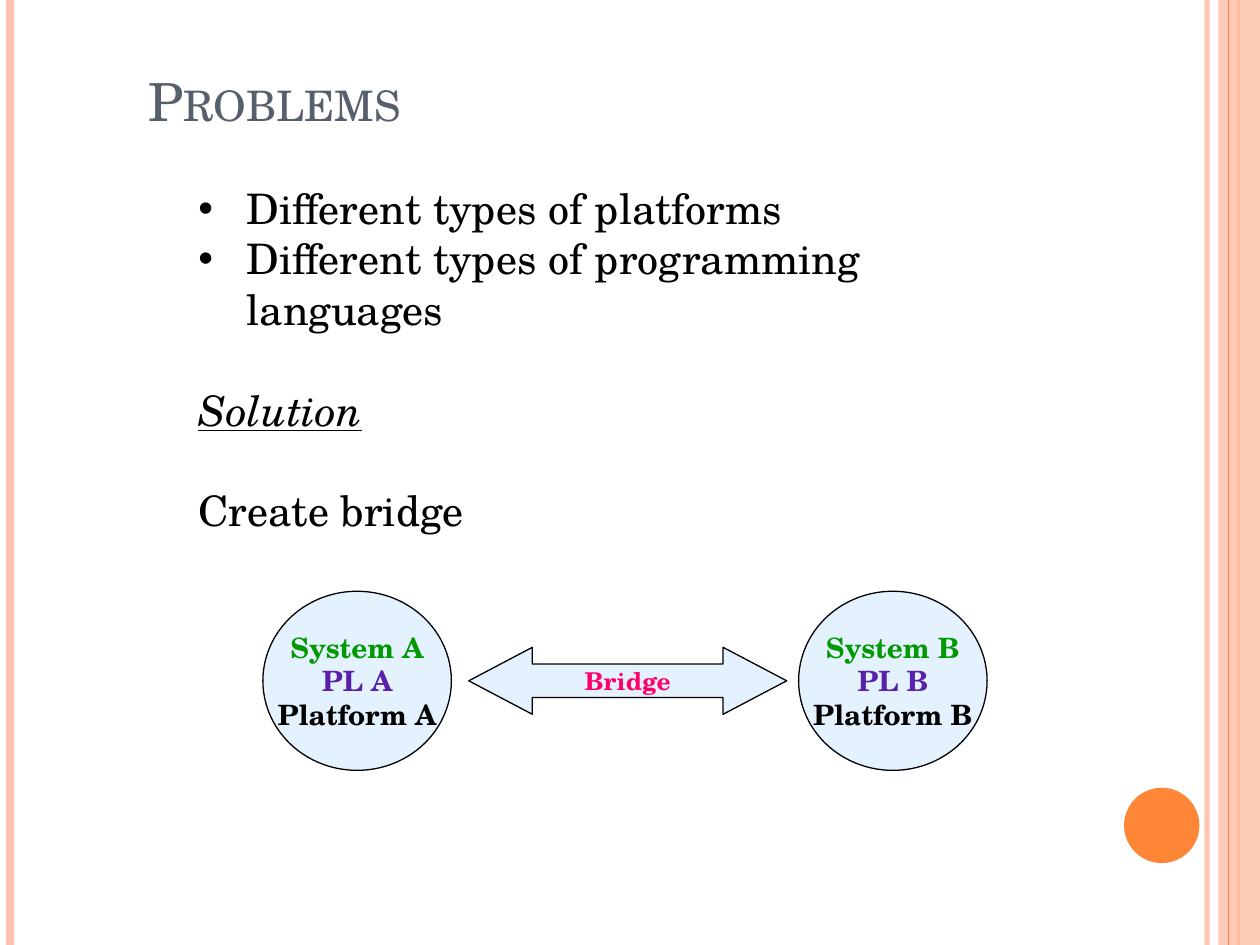
from dataclasses import dataclass

from lxml import etree
from pptx import Presentation
from pptx.dml.color import RGBColor
from pptx.enum.shapes import MSO_CONNECTOR, MSO_SHAPE
from pptx.enum.text import MSO_ANCHOR, PP_ALIGN
from pptx.oxml.ns import qn
from pptx.util import Cm, Pt

FONT = "TeX Gyre Schola"
BLACK = RGBColor(0x00, 0x00, 0x00)
SLATE = RGBColor(0x57, 0x5F, 0x6D)
PEACH = RGBColor(0xFE, 0xC3, 0xAE)
ORANGE = RGBColor(0xFE, 0x86, 0x37)
SKY = RGBColor(0xBD, 0xDE, 0xFF)
GREEN = RGBColor(0x00, 0x99, 0x00)
PURPLE = RGBColor(0x59, 0x21, 0xAB)
PINK = RGBColor(0xFF, 0x00, 0x66)

OVAL, RECT = MSO_SHAPE.OVAL, MSO_SHAPE.RECTANGLE
ARROW = MSO_SHAPE.LEFT_RIGHT_ARROW
STRAIGHT = MSO_CONNECTOR.STRAIGHT
LEFT, CENTER = PP_ALIGN.LEFT, PP_ALIGN.CENTER
TOP, MIDDLE = MSO_ANCHOR.TOP, MSO_ANCHOR.MIDDLE
WIDE, HIGH = 25.4, 19.05


@dataclass
class Stripe:
    x: float
    color: RGBColor
    width: float
    alpha: int = 100


@dataclass
class Item:
    text: str
    bullet: bool = False
    accent: bool = False
    gap: float = 0


@dataclass
class Label:
    text: str
    color: RGBColor


def fade(part, alpha: int) -> None:
    """Set the opacity, in percent, of the first colour in the part."""
    if alpha < 100:
        color = next(part.iter(qn("a:srgbClr")))
        etree.SubElement(color, qn("a:alpha")).set("val", str(alpha * 1000))


def style(para, size: float, color: RGBColor, align=LEFT, bold=False) -> None:
    font = para.font
    font.name, font.size, font.bold = FONT, Pt(size), bold
    font.color.rgb = color
    para.alignment = align


def add_stripe(slide, stripe: Stripe) -> None:
    line = slide.shapes.add_connector(
        STRAIGHT, Cm(stripe.x), 0, Cm(stripe.x), Cm(HIGH))
    line.line.color.rgb = stripe.color
    line.line.width = Pt(stripe.width)
    props = line._element.spPr
    fade(props, stripe.alpha)
    etree.SubElement(props, qn("a:effectLst"))


def add_form(slide, kind, x: float, y: float, w: float, h: float,
             color: RGBColor, alpha: int = 100, edge: bool = False):
    form = slide.shapes.add_shape(kind, Cm(x), Cm(y), Cm(w), Cm(h))
    form.shadow.inherit = False
    form.fill.solid()
    form.fill.fore_color.rgb = color
    fade(form._element.spPr, alpha)
    if edge:
        form.line.color.rgb = BLACK
        form.line.width = Pt(0.75)
    else:
        form.line.fill.background()
    return form


def add_labels(form, labels: list[Label], size: float) -> None:
    frame = form.text_frame
    frame.word_wrap = False
    frame.vertical_anchor = MIDDLE
    for i, label in enumerate(labels):
        para = frame.add_paragraph() if i else frame.paragraphs[0]
        para.text = label.text
        style(para, size, label.color, CENTER, True)


def add_item(para, item: Item) -> None:
    para.text = item.text
    style(para, 24, BLACK)
    para.space_before = Pt(item.gap)
    if item.accent:
        para.font.italic = para.font.underline = True
    props = para._p.get_or_add_pPr()
    props.set("marL", str(Cm(1.98)))
    props.set("indent", str(Cm(-0.97)))
    if item.bullet:
        face = etree.Element(qn("a:buFont"), typeface="Arial")
        mark = etree.Element(qn("a:buChar"), char="•")
        at = props.index(props.find(qn("a:defRPr")))
        props[at:at] = [face, mark]


deck = Presentation()
deck.slide_width, deck.slide_height = Cm(WIDE), Cm(HIGH)
slide = deck.slides.add_slide(deck.slide_layouts[5])

# Side stripes and dot
for stripe in (Stripe(24.33, PEACH, 3, 93), Stripe(0.21, PEACH, 4.5),
               Stripe(24.97, ORANGE, 1.5)):
    add_stripe(slide, stripe)
add_form(slide, RECT, 24.56, 0, 0.84, HIGH, PEACH, 87)
add_stripe(slide, Stripe(24.77, ORANGE, 0.75))
add_form(slide, OVAL, 22.66, 15.88, 1.52, 1.52, ORANGE)

# Two systems and the bridge between them
for name, x in (("A", 5.3), ("B", 16.1)):
    disc = add_form(slide, OVAL, x, 11.92, 3.8, 3.61, SKY, 40, True)
    add_labels(disc, [Label(f"System {name}", GREEN),
                      Label(f"PL {name}", PURPLE),
                      Label(f"Platform {name}", BLACK)], 16)
bridge = add_form(slide, ARROW, 9.45, 13.05, 6.41, 1.35, SKY, 40, True)
bridge.adjustments[0], bridge.adjustments[1] = 0.5, 0.95
add_labels(bridge, [Label("Bridge", PINK)], 14)

# Title in small capitals
title = slide.shapes.title
title.left, title.top = Cm(2.74), Cm(1.27)
title.width, title.height = Cm(18.85), Cm(1.52)
title.text_frame.vertical_anchor = TOP
head = title.text_frame.paragraphs[0]
head.text = "Problems"
style(head, 30, SLATE)
head.runs[0]._r.get_or_add_rPr().set("cap", "small")

# Body text
body = slide.shapes.add_textbox(Cm(2.74), Cm(3.68), Cm(18.85), Cm(7.34))
frame = body.text_frame
frame.word_wrap = True
frame.margin_top = 0
items = [Item("Different types of platforms", bullet=True),
         Item("Different types of programming languages", bullet=True),
         Item("Solution", accent=True, gap=28.8),
         Item("Create bridge", gap=28.8)]
for i, item in enumerate(items):
    add_item(frame.add_paragraph() if i else frame.paragraphs[0], item)

deck.save("out.pptx")
